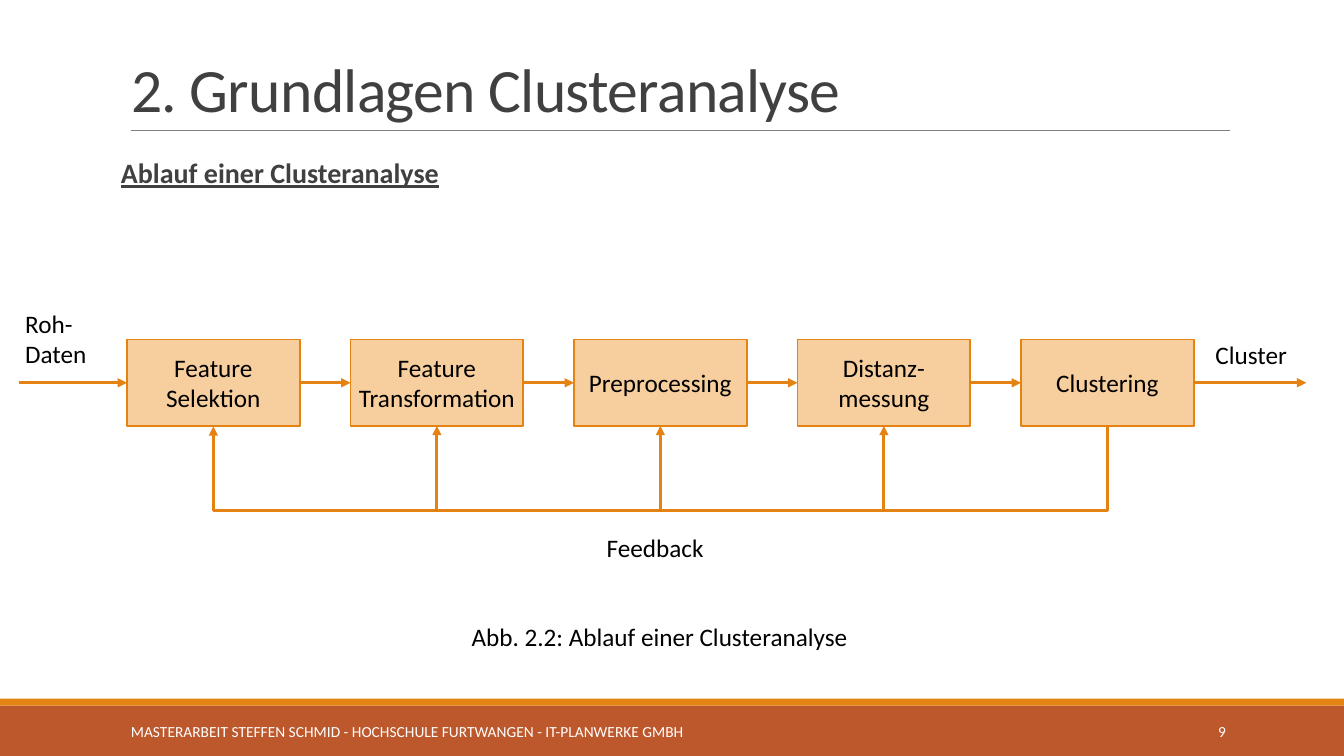
import pptx
import pptx.util
import pptx.dml.color
import pptx.enum.shapes
import pptx.enum.text
import pptx.oxml.ns
import lxml.etree

ALIGN = pptx.enum.text.PP_ALIGN
ANCHOR = pptx.enum.text.MSO_ANCHOR
LINK = pptx.enum.shapes.MSO_CONNECTOR
ORANGE, RUST, PEACH = "E48312", "BD582C", "F7CE9D"
BLACK, DARK, GREY, WHITE = "000000", "404040", "808080", "FFFFFF"


def color(hex_code):
    return pptx.dml.color.RGBColor.from_string(hex_code)


def add_xml(parent, tag, **attributes):
    return lxml.etree.SubElement(parent, pptx.oxml.ns.qn(tag), attributes)


class FlowSlide:
    """Places elements by percentages of the slide's width and height."""

    font_name = "Calibri"

    def __init__(self, deck):
        self.deck = deck
        self.slide = deck.slides.add_slide(deck.slide_layouts[1])
        self.shapes = self.slide.shapes

    def x(self, share):
        return round(self.deck.slide_width * share / 100)

    def y(self, share):
        return round(self.deck.slide_height * share / 100)

    def area(self, left, top, width, height):
        return self.x(left), self.y(top), self.x(width), self.y(height)

    def set_text(self, shape, text, size, hex_code, frame=None, paragraph=None, font=None):
        text_frame = shape.text_frame
        text_frame.text = text
        first = text_frame.paragraphs[0]
        formats = [
            (text_frame, {"word_wrap": True, **(frame or {})}),
            (first, paragraph or {}),
            (first.runs[0].font, {"name": self.font_name,
                                  "size": pptx.util.Pt(size), **(font or {})}),
        ]
        for target, values in formats:
            for name, value in values.items():
                setattr(target, name, value)
        first.runs[0].font.color.rgb = color(hex_code)
        return first

    def placeholder(self, index, area, *text, **formats):
        holder = self.slide.placeholders[index]
        places = zip(("left", "top", "width", "height"), self.area(*area))
        for name, value in places:
            setattr(holder, name, value)
        formats["frame"] = {"auto_size": pptx.enum.text.MSO_AUTO_SIZE.NONE,
                            **formats["frame"]}
        return self.set_text(holder, *text, **formats)

    def label(self, text, area, size=18, hex_code=BLACK, **formats):
        self.set_text(self.shapes.add_textbox(*self.area(*area)), text, size, hex_code,
                      **formats)

    def rectangle(self, area, fill, outline=None):
        kind = pptx.enum.shapes.MSO_SHAPE.RECTANGLE
        shape = self.shapes.add_shape(kind, *self.area(*area))
        shape.shadow.inherit = False
        shape.fill.solid()
        shape.fill.fore_color.rgb = color(fill)
        if outline:
            shape.line.color.rgb = color(outline)
            shape.line.width = pptx.util.Pt(1.25)
        else:
            shape.line.fill.background()
        return shape

    def step(self, text, area):
        box = self.rectangle(area, PEACH, ORANGE)
        inset = self.x(0.5)
        self.set_text(box, text, 18, BLACK, paragraph={"alignment": ALIGN.CENTER},
                      frame={"vertical_anchor": ANCHOR.MIDDLE,
                             "margin_left": inset, "margin_right": inset})
        return box

    def style_line(self, line, hex_code=ORANGE, width=2.25, arrow=True):
        line.line.color.rgb = color(hex_code)
        line.line.width = pptx.util.Pt(width)
        properties = line._element.spPr
        if arrow:
            add_xml(properties.find(pptx.oxml.ns.qn("a:ln")), "a:tailEnd", type="triangle")
        add_xml(properties, "a:effectLst")

    def line(self, start, end, begin=None, finish=None, **style):
        line = self.shapes.add_connector(LINK.STRAIGHT, self.x(start[0]), self.y(start[1]),
                                         self.x(end[0]), self.y(end[1]))
        if begin:
            line.begin_connect(*begin)
        if finish:
            line.end_connect(*finish)
        self.style_line(line, **style)

    def feedback_loop(self, right, left, top, bottom):
        """Elbow arrow running down, left and up again: a thin frame turned by 90°."""
        thin = pptx.util.Inches(0.01)
        center, half = self.x((left + right) / 2), self.x((right - left) / 2)
        loop = self.shapes.add_connector(LINK.ELBOW, center - thin // 2, self.y(top) - half,
                                         center + thin // 2, self.y(top) + half)
        properties = loop._element.spPr
        properties.find(pptx.oxml.ns.qn("a:xfrm")).set("rot", "5400000")
        depth = round(self.y(bottom - top) / thin * 100000)
        geometry = properties.find(pptx.oxml.ns.qn("a:prstGeom"))
        guides = geometry.find(pptx.oxml.ns.qn("a:avLst"))
        if guides is None:
            guides = add_xml(geometry, "a:avLst")
        add_xml(guides, "a:gd", name="adj1", fmla=f"val {depth}")
        self.style_line(loop)


def main():
    deck = pptx.Presentation()
    deck.slide_width, deck.slide_height = pptx.util.Inches(13.333), pptx.util.Inches(7.5)
    page = FlowSlide(deck)

    # Footer bars and title rule
    page.rectangle((0, 93.33, 100, 6.67), RUST)
    page.rectangle((0, 92.4, 100, 0.93), ORANGE)
    page.line((9.75, 17.2), (91.5, 17.2), hex_code=GREY, width=0.5, arrow=False)

    # Title and subtitle
    title = page.placeholder(
        0, (9, 4.13, 82.5, 13.07), "2. Grundlagen Clusteranalyse", 44, DARK,
        frame={"vertical_anchor": ANCHOR.BOTTOM},
        paragraph={"alignment": ALIGN.LEFT, "line_spacing": 0.85})
    title.runs[0]._r.get_or_add_rPr().set("spc", "-50")
    subtitle = page.placeholder(
        1, (9, 20.4, 82.5, 7.07), "Ablauf einer Clusteranalyse", 20, DARK,
        frame={"margin_left": 0, "margin_right": 0},
        paragraph={"line_spacing": 0.9, "space_before": 0, "space_after": pptx.util.Pt(2)},
        font={"bold": True, "underline": True})
    bullet = subtitle._element.get_or_add_pPr()
    bullet.set("marL", "0")
    bullet.set("indent", "0")
    add_xml(bullet, "a:buNone")

    # Footer text
    middle = {"vertical_anchor": ANCHOR.MIDDLE}
    page.label("MASTERARBEIT STEFFEN SCHMID - HOCHSCHULE FURTWANGEN - IT-PLANWERKE GMBH",
               (9, 94.13, 60.83, 5.33), 11, WHITE, frame=middle)
    page.label("9", (81.23, 94.13, 10.73, 5.33), 11, WHITE, frame=middle,
               paragraph={"alignment": ALIGN.RIGHT})

    # Process steps
    names = ["Feature Selektion", "Feature Transformation", "Preprocessing",
             "Distanz-messung", "Clustering"]
    first, pitch, width, top, height = 9.45, 16.63, 12.85, 44.93, 11.4
    lefts = [first + pitch * column for column in range(len(names))]
    centers = [left + width / 2 for left in lefts]
    axis, bottom, return_row = top + height / 2, top + height, 67.73
    steps = [page.step(name, (left, top, width, height)) for name, left in zip(names, lefts)]

    # Arrows along the process
    page.line((1.43, axis), (first, axis), finish=(steps[0], 1))
    for left, source, target in zip(lefts, steps, steps[1:]):
        page.line((left + width, axis), (left + pitch, axis), (source, 3), (target, 1))
    page.line((lefts[-1] + width, axis), (97.2, axis), begin=(steps[-1], 3))

    # Feedback to the earlier steps
    page.feedback_loop(centers[-1], centers[0], bottom, return_row)
    for center, target in zip(centers[1:-1], steps[1:-1]):
        page.line((center, return_row), (center, bottom), finish=(target, 2))

    # Labels and caption
    page.label("Roh-Daten", (1.13, 40.13, 6.83, 9.47))
    page.label("Cluster", (89.7, 44.27, 6.83, 5.33))
    page.label("Feedback", (44.4, 69.73, 9.53, 5.33))
    page.label("Abb. 2.2: Ablauf einer Clusteranalyse", (34.35, 81.47, 29.7, 5.33))

    deck.save("out.pptx")


if __name__ == "__main__":
    main()
